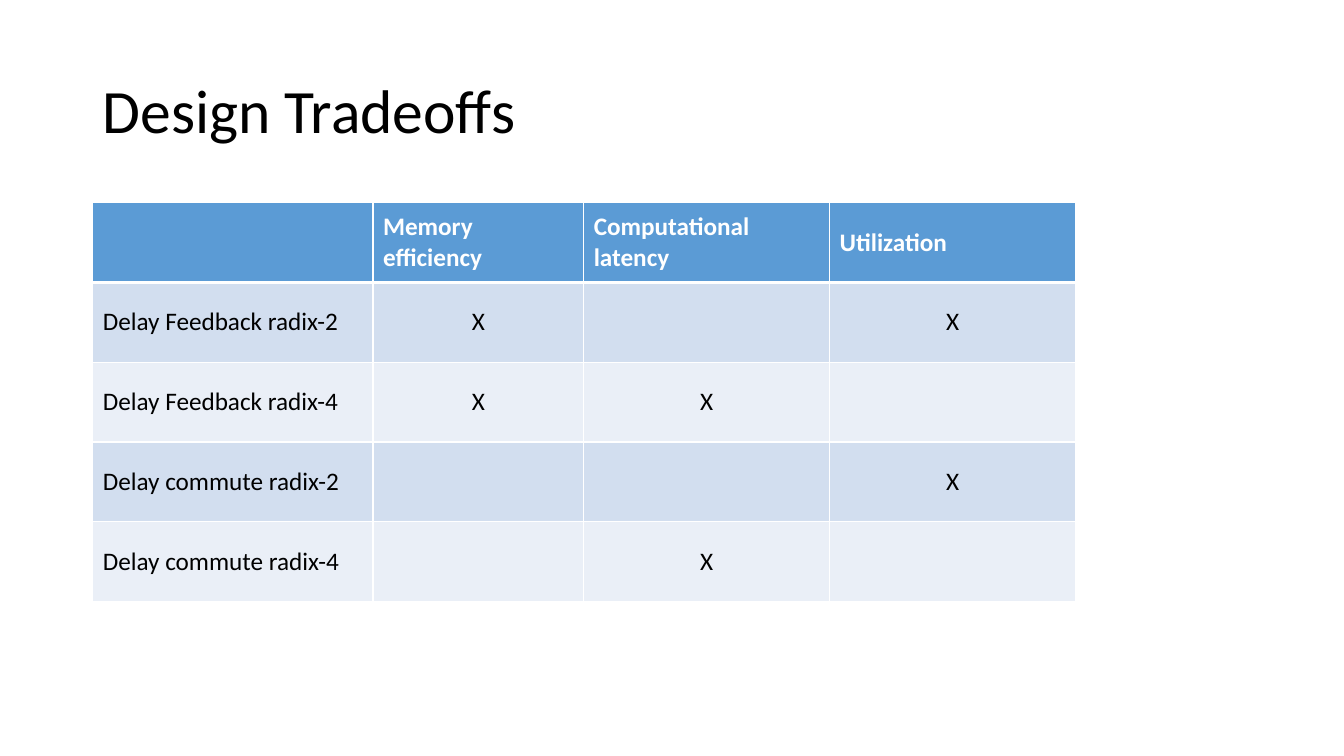
from typing import Any, NamedTuple

from lxml import etree
from pptx import Presentation
from pptx import util as u
from pptx.dml.color import RGBColor
from pptx.enum import text
from pptx.oxml import ns

WHITE, BLACK, HEADER_BLUE = "FFFFFF", "000000", "5B9BD5"
BANDS = ("D2DEEF", "EAEFF7")
LEFT, TABLE_TOP, ROW_HEIGHT = 6.9, 26.8, 10.56


class Criterion(NamedTuple):
    name: str
    width: float


class Design(NamedTuple):
    name: str
    marks: tuple[str, str, str]


CRITERIA = [
    Criterion("", 20.85),
    Criterion("Memory efficiency", 15.68),
    Criterion("Computational latency", 18.3),
    Criterion("Utilization", 18.3),
]
DESIGNS = [
    Design("Delay Feedback radix-2", ("X", "", "X")),
    Design("Delay Feedback radix-4", ("X", "X", "")),
    Design("Delay commute radix-2", ("", "", "X")),
    Design("Delay commute radix-4", ("", "X", "")),
]

prs = Presentation()
prs.slide_width, prs.slide_height = u.Inches(13.333), u.Inches(7.5)
s = prs.slides.add_slide(prs.slide_layouts[6])


def x(share: float) -> int:
    return round(prs.slide_width * share / 100)


def y(share: float) -> int:
    return round(prs.slide_height * share / 100)


def rgb(value: str) -> RGBColor:
    return RGBColor.from_string(value)


def write(p: Any, words: str, size: int, color: str, bold: bool = False) -> None:
    r = p.add_run()
    r.text = words
    for name, value in {"name": "Calibri", "size": u.Pt(size), "bold": bold}.items():
        setattr(r.font, name, value)
    r.font.color.rgb = rgb(color)


def border(cell: Any, side: str, points: int) -> None:
    tc_pr = cell._tc.get_or_add_tcPr()
    line = etree.SubElement(tc_pr, ns.qn(f"a:ln{side}"), w=str(u.Pt(points)))
    fill = etree.SubElement(line, ns.qn("a:solidFill"))
    etree.SubElement(fill, ns.qn("a:srgbClr"), val=WHITE)


def fill_cell(cell: Any, words: str, row: int, column: int) -> None:
    header = row == 0
    thick = {"T": row == 1, "B": header}
    for side in "LRTB":
        border(cell, side, 3 if thick.get(side) else 1)
    cell.fill.solid()
    cell.fill.fore_color.rgb = rgb(HEADER_BLUE if header else BANDS[(row - 1) % 2])
    cell.vertical_anchor = text.MSO_ANCHOR.MIDDLE
    p = cell.text_frame.paragraphs[0]
    centred = row and column
    p.alignment = text.PP_ALIGN.CENTER if centred else text.PP_ALIGN.LEFT
    if words:
        write(p, words, 18, WHITE if header else BLACK, header)


def add_title(words: str) -> None:
    sp = s.shapes.add_textbox(x(LEFT), y(5.33), x(86.25), y(19.33))
    tf = sp.text_frame
    formats = {"word_wrap": True, "vertical_anchor": text.MSO_ANCHOR.MIDDLE}
    for name, value in formats.items():
        setattr(tf, name, value)
    p = tf.paragraphs[0]
    p.line_spacing = 0.9
    write(p, words, 44, BLACK)


def add_tradeoffs(criteria: list[Criterion], designs: list[Design]) -> None:
    rows = [[c.name for c in criteria]] + [[d.name, *d.marks] for d in designs]
    table = s.shapes.add_table(
        len(rows), len(criteria), x(LEFT), y(TABLE_TOP),
        x(sum(c.width for c in criteria)), y(ROW_HEIGHT * len(rows)),
    ).table
    for column, criterion in zip(table.columns, criteria):
        column.width = x(criterion.width)
    for i, row in enumerate(rows):
        table.rows[i].height = y(ROW_HEIGHT)
        for j, words in enumerate(row):
            fill_cell(table.cell(i, j), words, i, j)


add_title("Design Tradeoffs")
add_tradeoffs(CRITERIA, DESIGNS)
prs.save("out.pptx")
